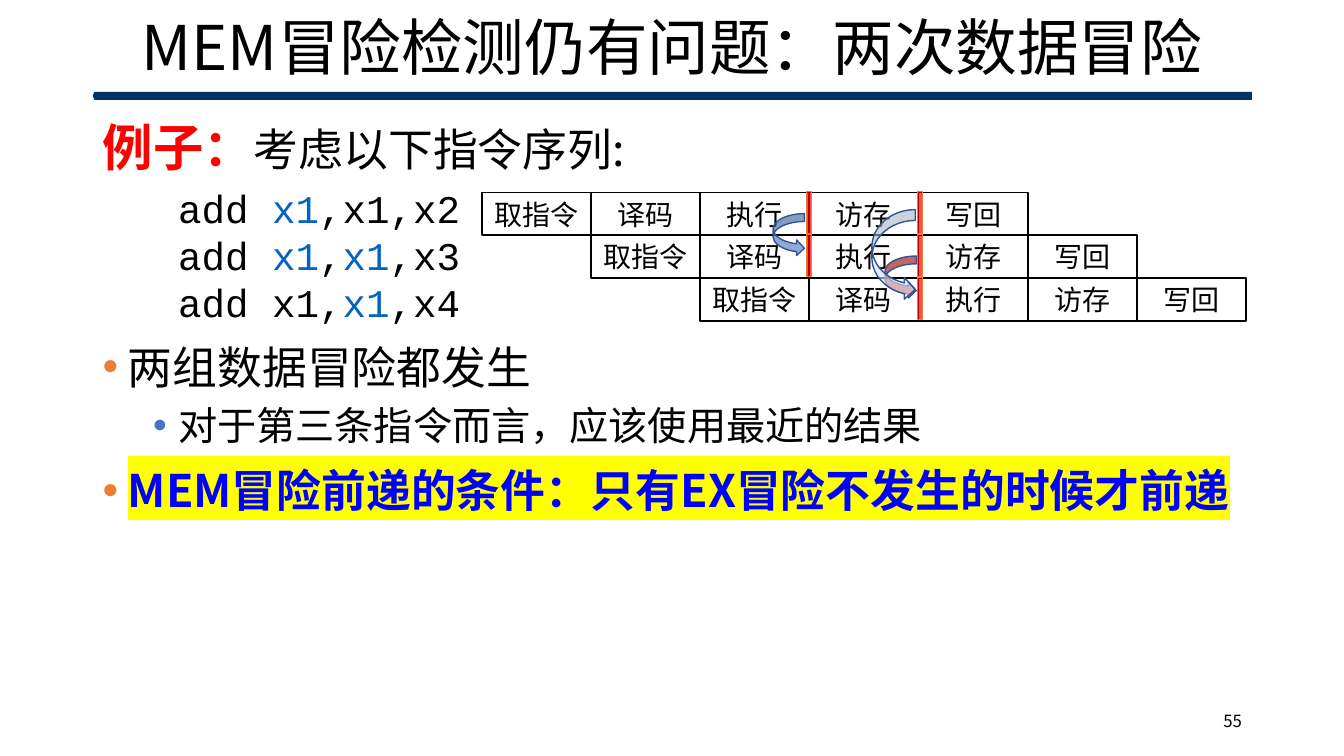
from dataclasses import dataclass

from lxml.etree import SubElement
from pptx import Presentation
from pptx.dml.color import RGBColor
from pptx.enum.shapes import MSO_SHAPE as Preset
from pptx.enum.text import MSO_ANCHOR as Anchor, PP_ALIGN as Align
from pptx.oxml.ns import qn
from pptx.util import Inches, Pt


@dataclass(frozen=True)
class Theme:
    """Colours, fonts and type sizes of the slide."""
    black: str = "000000"
    white: str = "FFFFFF"
    navy: str = "003366"
    red: str = "FF0000"
    link: str = "0563C1"
    strong: str = "0000FF"
    marker: str = "FFFF00"
    orange: str = "ED7D31"
    blue: str = "4472C4"
    crimson: str = "C00000"
    pale: str = "DAE3F3"
    outline: str = "325491"
    sans: str = "Noto Sans CJK SC"
    serif: str = "Times New Roman"
    mono: str = "Courier New"
    title: float = 44
    lead: float = 36
    body: float = 32
    detail: float = 28
    stage: float = 20
    number: float = 12


THEME = Theme()


@dataclass(frozen=True)
class Span:
    """A run of text with one look."""
    text: str
    size: float
    color: str = THEME.black
    font: str = THEME.sans
    bold: bool = False
    highlight: str = ""


@dataclass(frozen=True)
class Para:
    """A paragraph with its spacing, indent and bullet."""
    spans: tuple[Span, ...]
    before: float = 0
    margin: float = 0
    bullet: str = ""
    spacing: float | Pt = 1.0
    align: Align = Align.LEFT


@dataclass(frozen=True)
class Box:
    """A place on the slide in inches."""
    left: float
    top: float
    width: float
    height: float


@dataclass(frozen=True)
class Look:
    """A preset shape with its fill and outline."""
    preset: Preset
    fill: str
    line: str = ""
    weight: float = 1
    alpha: int = 100


STAGES = ("取指令", "译码", "执行", "访存", "写回")
GRID = Box(4.78, 1.91, 6.5 / 6, 0.85 / 2)
STAGE_LOOK = Look(Preset.RECTANGLE, THEME.white, THEME.black, 1.25)
REGISTER_LOOK = Look(Preset.RECTANGLE, THEME.red, THEME.orange, 0.5, 70)
REGISTERS = ((8.0, 0), (8.0, 1), (9.1, 0), (9.1, 1), (9.1, 2))
FORWARDS = (
    (Box(7.67, 2.12, 0.31, 0.42), THEME.blue),
    (Box(8.78, 2.54, 0.31, 0.42), THEME.crimson),
    (Box(8.65, 2.08, 0.43, 0.9), THEME.pale),
)
CODE = (
    (("add ", False), ("x1", True), (",x1,x2", False)),
    (("add ", False), ("x1", True), (",", False), ("x1", True), (",x3", False)),
    (("add x1,", False), ("x1", True), (",x4", False)),
)


def code_para(index: int) -> Para:
    """Describe one instruction line with its hazard registers coloured."""
    spans = tuple(Span(text, THEME.detail, THEME.link if hazard else THEME.black, THEME.mono)
                  for text, hazard in CODE[index])
    return Para(spans, 0 if index else 6, 0.75, spacing=Pt(33.5))


BODY = (
    Para((Span("例子：", THEME.lead, THEME.red, bold=True),
          Span("考虑以下指令序列:", THEME.body)), 5),
    *(code_para(index) for index in range(len(CODE))),
    Para((Span("两组数据冒险都发生", THEME.body),), 10, 0.25, THEME.orange),
    Para((Span("对于第三条指令而言，应该使用最近的结果", THEME.detail),), 6, 0.75, THEME.blue),
    Para((Span("MEM冒险前递的条件：只有EX冒险不发生的时候才前递", THEME.body, THEME.strong,
               bold=True, highlight=THEME.marker),), 10, 0.25, THEME.orange),
)


def write_span(para, span: Span) -> None:
    """Add one formatted run to a paragraph."""
    run = para.add_run()
    run.text = span.text
    run.font.size = Pt(span.size)
    run.font.bold = span.bold
    run.font.color.rgb = RGBColor.from_string(span.color)
    properties = run.font._element
    if span.highlight:
        SubElement(SubElement(properties, qn("a:highlight")), qn("a:srgbClr"), val=span.highlight)
    run.font.name = span.font
    SubElement(properties, qn("a:ea"), typeface=THEME.sans)


def write_paras(frame, paras: tuple[Para, ...], anchor: Anchor, inset: float = 0.1) -> None:
    """Fill a text frame with paragraphs."""
    frame.word_wrap = True
    frame.vertical_anchor = anchor
    frame.margin_left = frame.margin_right = Inches(inset)
    frame.margin_top = frame.margin_bottom = Inches(inset / 2)
    for index, item in enumerate(paras):
        para = frame.add_paragraph() if index else frame.paragraphs[0]
        para.alignment = item.align
        para.line_spacing = item.spacing
        para.space_before = Pt(item.before)
        properties = para._p.get_or_add_pPr()
        properties.set("marL", str(Inches(item.margin)))
        properties.set("indent", str(Inches(-0.25 if item.bullet else 0)))
        if item.bullet:
            SubElement(SubElement(properties, qn("a:buClr")), qn("a:srgbClr"), val=item.bullet)
            SubElement(properties, qn("a:buFont"), typeface="Arial")
            SubElement(properties, qn("a:buChar"), char="•")
        for span in item.spans:
            write_span(para, span)


def add_text(page, box: Box, paras: tuple[Para, ...], anchor: Anchor) -> None:
    """Place a text box on the page."""
    shape = page.shapes.add_textbox(*map(Inches, (box.left, box.top, box.width, box.height)))
    write_paras(shape.text_frame, paras, anchor)


def add_preset(page, box: Box, look: Look):
    """Place a preset shape on the page."""
    shape = page.shapes.add_shape(
        look.preset, *map(Inches, (box.left, box.top, box.width, box.height)))
    shape.shadow.inherit = False
    shape.fill.solid()
    shape.fill.fore_color.rgb = RGBColor.from_string(look.fill)
    if look.alpha < 100:
        color = shape._element.spPr.find(qn("a:solidFill")).find(qn("a:srgbClr"))
        SubElement(color, qn("a:alpha"), val=str(look.alpha * 1000))
    if look.line:
        shape.line.color.rgb = RGBColor.from_string(look.line)
        shape.line.width = Pt(look.weight)
    else:
        shape.line.fill.background()
    return shape


def add_pipeline(page) -> None:
    """Draw the staggered stages, pipeline registers and forwarding arrows."""
    for row in range(len(CODE)):
        for column, name in enumerate(STAGES, row):
            box = Box(GRID.left + column * GRID.width, GRID.top + row * GRID.height,
                      GRID.width, GRID.height)
            stage = add_preset(page, box, STAGE_LOOK)
            label = Span(name, THEME.stage, font=THEME.serif)
            write_paras(stage.text_frame, (Para((label,), align=Align.CENTER),), Anchor.MIDDLE, 0)
    for left, row in REGISTERS:
        add_preset(page, Box(left, 1.9 + row * GRID.height, 0.05, 0.42), REGISTER_LOOK)
    for box, fill in FORWARDS:
        add_preset(page, box, Look(Preset.CURVED_RIGHT_ARROW, fill, THEME.outline, 1, 60))


def main() -> None:
    """Build the slide and save it."""
    deck = Presentation()
    deck.slide_width, deck.slide_height = Inches(40 / 3), Inches(7.5)
    page = deck.slides.add_slide(deck.slide_layouts[6])
    rule = add_preset(page, Box(0.92, 0.91, 11.5, 0.08), Look(Preset.PENTAGON, THEME.navy))
    rule.adjustments[0] = 0.2
    rule.rotation = 180
    title = Span("MEM冒险检测仍有问题：两次数据冒险", THEME.title)
    add_text(page, Box(0.92, 0.17, 11.5, 0.66),
             (Para((title,), spacing=0.9, align=Align.CENTER),), Anchor.MIDDLE)
    add_text(page, Box(0.92, 1.1, 11.5, 5.76), BODY, Anchor.TOP)
    add_pipeline(page)
    add_text(page, Box(9.42, 6.95, 3, 0.4),
             (Para((Span("55", THEME.number),), align=Align.RIGHT),), Anchor.MIDDLE)
    deck.save("out.pptx")


if __name__ == "__main__":
    main()
